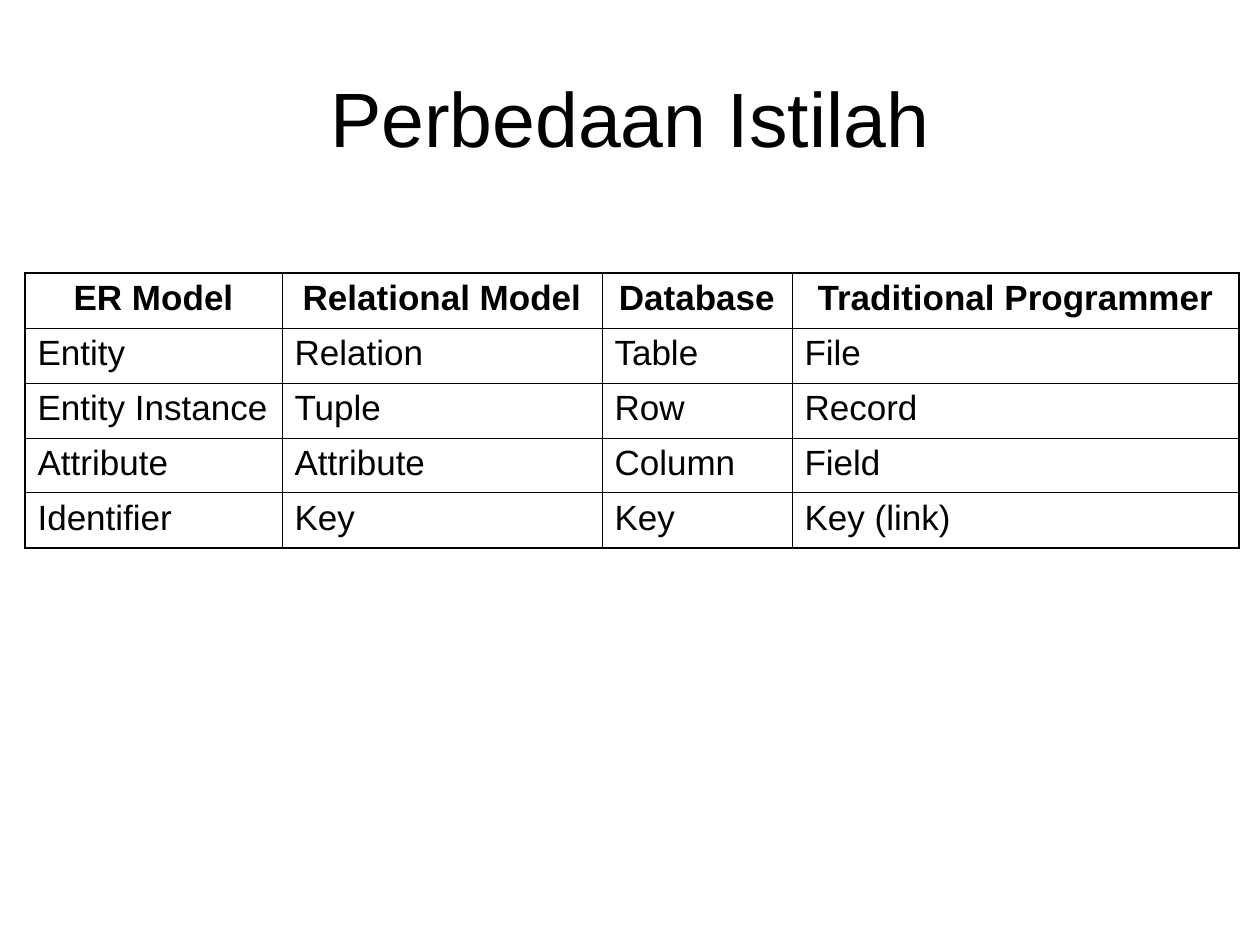
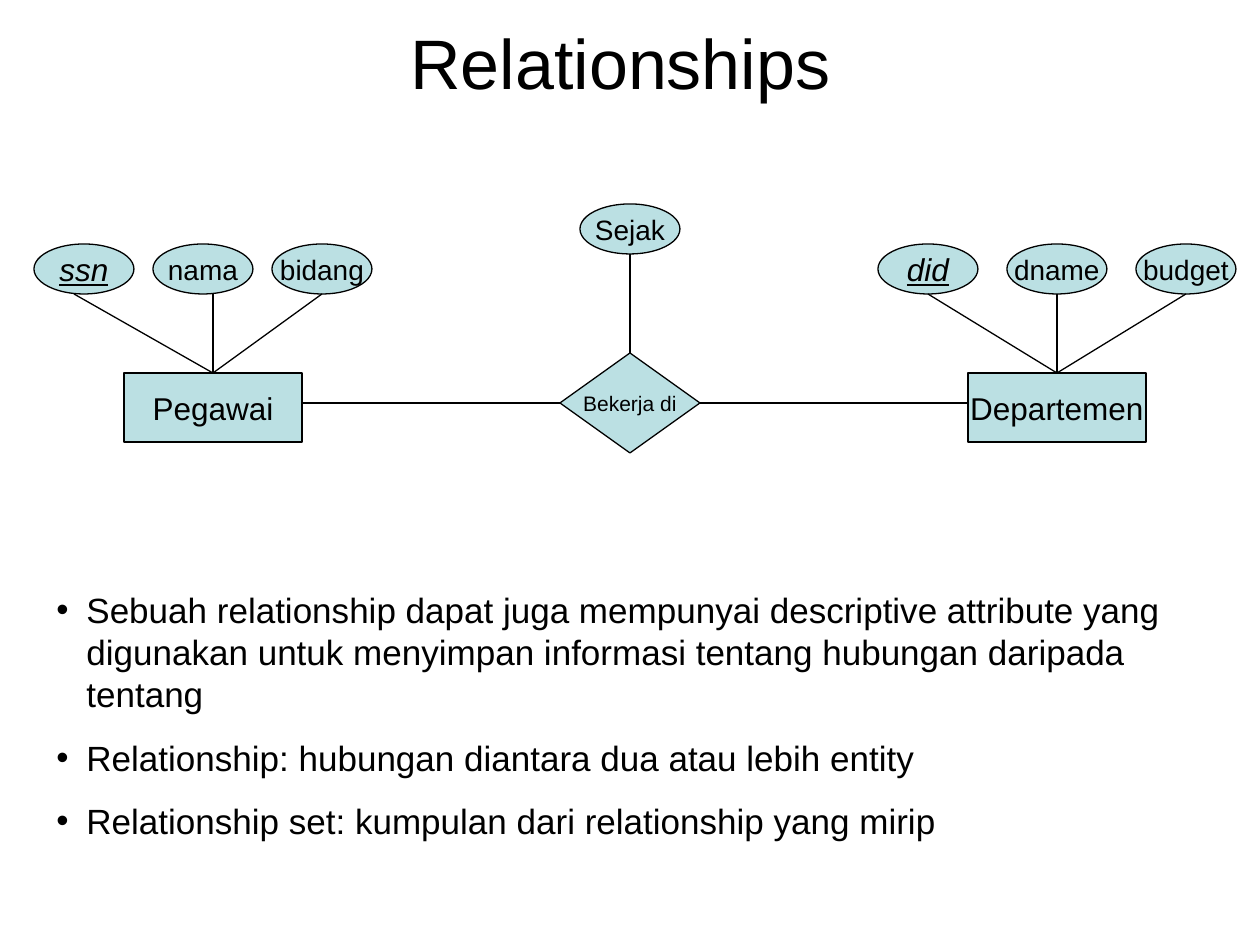
from lxml import etree
from pptx import Presentation
from pptx import util as u
from pptx.dml.color import RGBColor
from pptx.enum import shapes, text
from pptx.oxml import parse_xml
from pptx.oxml.ns import nsdecls, qn

PX = 7257  # EMU in one px, 126 px to the inch
BLACK, TEAL = "000000", "BBE0E3"
CENTER, LEFT = text.PP_ALIGN.CENTER, text.PP_ALIGN.LEFT
MIDDLE = text.MSO_ANCHOR.MIDDLE
KIND = shapes.MSO_SHAPE
TOP_SIDE, LEFT_SIDE, RIGHT_SIDE = 0, 1, 3


def rgb(value):
    return RGBColor.from_string(value)


def write(p, words, size=20, align=LEFT, before=0, bold=False, key=False):
    p.alignment = align
    p.space_before = u.Pt(before)
    r = p.add_run()
    r.text = words
    r.font.name, r.font.size, r.font.bold = "Arial", u.Pt(size), bold
    r.font.italic = r.font.underline = key
    r.font.color.rgb = rgb(BLACK)


prs = Presentation()
prs.slide_width, prs.slide_height = 1260 * PX, 945 * PX

# Slides and their titles
for title, size, height in [("Perbedaan Istilah", 44, 158), ("Relationships ", 40, 48)]:
    s = prs.slides.add_slide(prs.slide_layouts[6])
    tf = s.shapes.add_textbox(63 * PX, 38 * PX, 1134 * PX, height * PX).text_frame
    tf.word_wrap, tf.vertical_anchor = True, MIDDLE
    tf.margin_top = tf.margin_bottom = 0
    write(tf.paragraphs[0], title, size=size, align=CENTER)
terms_slide, er_slide = prs.slides

# Table of terms
terms = [
    ["ER Model", "Relational Model", "Database", "Traditional Programmer"],
    ["Entity", "Relation", "Table", "File"],
    ["Entity Instance", "Tuple", "Row", "Record"],
    ["Attribute", "Attribute", "Column", "Field"],
    ["Identifier", "Key", "Key", "Key (link)"],
]
widths = [257, 320, 190, 447]
last_row, last_col = len(terms) - 1, len(widths) - 1
table = terms_slide.shapes.add_table(
    len(terms), len(widths), 25 * PX, 273 * PX, sum(widths) * PX, 55 * len(terms) * PX
).table
table.first_row = table.horz_banding = False
for column, width in zip(table.columns, widths):
    column.width = width * PX
for i, row in enumerate(terms):
    for j, term in enumerate(row):
        cell = table.cell(i, j)
        cell.fill.background()
        header = i == 0
        write(cell.text_frame.paragraphs[0], term, before=5, bold=header,
              align=CENTER if header else LEFT)
        # The outer frame is heavier than the inner grid
        outer = {"lnL": j == 0, "lnR": j == last_col, "lnT": i == 0, "lnB": i == last_row}
        tc_pr = cell._tc.get_or_add_tcPr()
        for n, (edge, heavy) in enumerate(outer.items()):
            tc_pr.insert(n, parse_xml(
                f'<a:{edge} {nsdecls("a")} w="{u.Pt(1.08 if heavy else 0.45)}">'
                f'<a:solidFill><a:srgbClr val="{BLACK}"/></a:solidFill></a:{edge}>'))

# ER diagram: name, kind, left, top, width, height, text size
nodes = [
    ("Pegawai", KIND.RECTANGLE, 124, 373, 178, 69, 18),
    ("Departemen", KIND.RECTANGLE, 968, 373, 178, 69, 18),
    ("Bekerja di", KIND.DIAMOND, 560, 353, 140, 100, 12),
    ("Sejak", KIND.OVAL, 580, 204, 100, 50, 16),
]
keys = ["ssn", "did"]
for left, pitch, names in [(34, 119, ["ssn", "nama", "bidang"]),
                           (878, 129, ["did", "dname", "budget"])]:
    for n, name in enumerate(names):
        nodes.append((name, KIND.OVAL, left + n * pitch, 244, 100, 50,
                      18 if name in keys else 16))

drawn = {}
for name, kind, x, y, w, h, size in nodes:
    sp = drawn[name] = er_slide.shapes.add_shape(kind, x * PX, y * PX, w * PX, h * PX)
    sp.shadow.inherit = False
    sp.fill.solid()
    sp.fill.fore_color.rgb = rgb(TEAL)
    sp.line.color.rgb, sp.line.width = rgb(BLACK), u.Pt(0.75)
    tf = sp.text_frame
    tf.word_wrap, tf.vertical_anchor = False, MIDDLE
    write(tf.paragraphs[0], name, size=size, align=CENTER, key=name in keys)

# Lines: starting node, its side, start point, end point
links = [
    ("Bekerja di", RIGHT_SIDE, 700, 403, 968, 403),
    ("Bekerja di", LEFT_SIDE, 560, 403, 302, 403),
    ("Bekerja di", TOP_SIDE, 630, 353, 630, 254),
]
for entity, x, ends in [("Pegawai", 213, [74, 213, 322]),
                        ("Departemen", 1057, [928, 1057, 1186])]:
    links += [(entity, TOP_SIDE, x, 373, end, 294) for end in ends]
for name, side, x1, y1, x2, y2 in links:
    line = er_slide.shapes.add_connector(
        shapes.MSO_CONNECTOR.STRAIGHT, x1 * PX, y1 * PX, x2 * PX, y2 * PX)
    line.begin_connect(drawn[name], side)
    line.line.color.rgb, line.line.width = rgb(BLACK), u.Pt(0.75)
    etree.SubElement(line._element.spPr, qn("a:effectLst"))

# Bulleted notes
notes = [
    "Sebuah relationship dapat juga mempunyai descriptive attribute yang "
    "digunakan untuk menyimpan informasi tentang hubungan daripada tentang",
    "Relationship: hubungan diantara dua atau lebih entity",
    "Relationship set: kumpulan dari relationship yang mirip",
]
tf = er_slide.shapes.add_textbox(44 * PX, 582 * PX, 1131 * PX, 267 * PX).text_frame
tf.word_wrap = True
for n, note in enumerate(notes):
    p = tf.add_paragraph() if n else tf.paragraphs[0]
    write(p, note, before=12.5)
    p_pr = p._p.get_or_add_pPr()
    p_pr.set("marL", str(30 * PX))
    p_pr.set("indent", str(-30 * PX))
    etree.SubElement(p_pr, qn("a:buFont"), typeface="Arial")
    etree.SubElement(p_pr, qn("a:buChar"), char="•")

prs.save("out.pptx")
